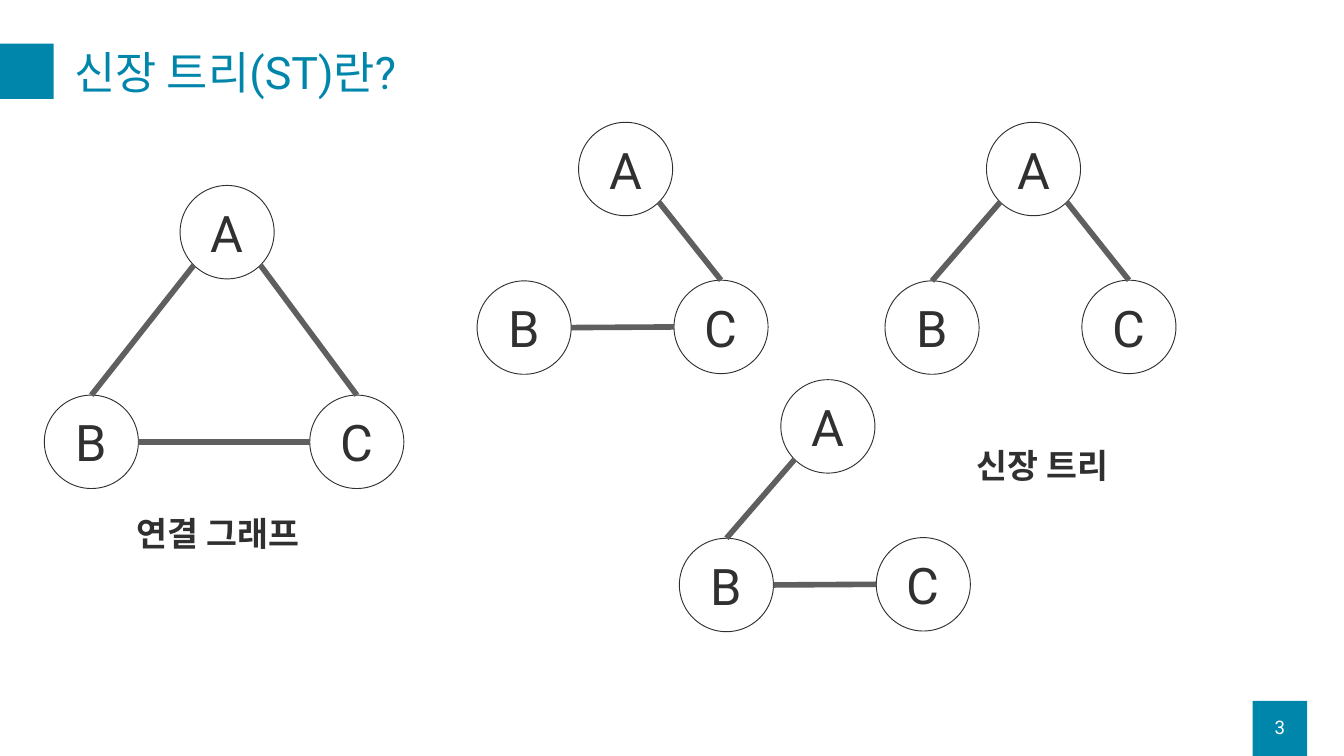
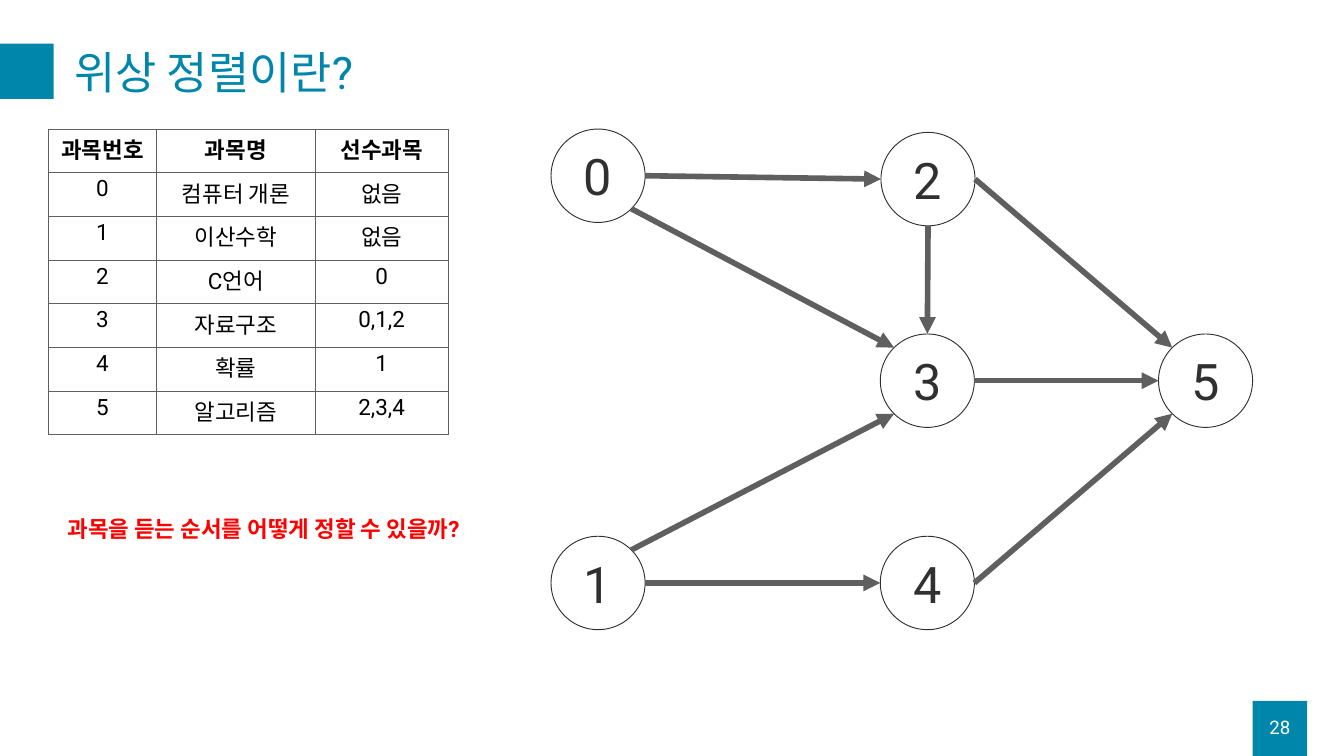
import math

import pptx
import pptx.dml.color
import pptx.enum.shapes
import pptx.enum.text
import pptx.oxml
import pptx.oxml.ns
import pptx.util
from lxml import etree

Inches, Pt = pptx.util.Inches, pptx.util.Pt
RGBColor = pptx.dml.color.RGBColor
SHAPE = pptx.enum.shapes.MSO_SHAPE
ALIGN = pptx.enum.text.PP_ALIGN
ANCHOR = pptx.enum.text.MSO_ANCHOR
AUTO_SIZE = pptx.enum.text.MSO_AUTO_SIZE
qn = pptx.oxml.ns.qn

# Shared look
TEAL = RGBColor(0x00, 0x86, 0xAB)
INK = RGBColor(0x30, 0x30, 0x30)
GRAY = RGBColor(0x5F, 0x5F, 0x5F)
RED = RGBColor(0xFF, 0x00, 0x00)
BLACK = RGBColor(0, 0, 0)
WHITE = RGBColor(0xFF, 0xFF, 0xFF)
FONT = "Roboto"
BANDS = [(18.64, 10.43, 0.81, 0.82), (-0.01, 0.65, 0.81, 0.82)]
NODE_W, NODE_H = 1.4, 1.39

# Connection sites of an ellipse, counterclockwise from the top
TOP, TOP_LEFT, LEFT, BOTTOM_LEFT, BOTTOM, BOTTOM_RIGHT, RIGHT, TOP_RIGHT = range(8)

# Slide 1: a connected graph and its spanning trees
ST_TITLE, ST_NUMBER = "신장 트리(ST)란?", "3"
ST_LABELS = [("연결 그래프", 1.94, 7.59), ("신장 트리", 14.44, 6.57)]
AB = ("A", BOTTOM_LEFT, "B", TOP)
AC = ("A", BOTTOM_RIGHT, "C", TOP)
CB = ("C", LEFT, "B", RIGHT)
# Places of the nodes relative to node A
TRIANGLE = {"A": (0, 0), "B": (-2.02, 3.12), "C": (1.93, 3.12)}
TREE = {"A": (0, 0), "B": (-1.51, 2.36), "C": (1.42, 2.35)}
ST_GRAPHS = [
    (2.68, 2.76, TRIANGLE, [AB, AC, CB]),
    (8.61, 1.82, TREE, [AC, CB]),
    (14.68, 1.82, TREE, [AC, AB]),
    (11.62, 5.65, TREE, [CB, AB]),
]

# Slide 2: courses and their order
SORT_TITLE, SORT_NUMBER = "위상 정렬이란?", "28"
QUESTION = "과목을 듣는 순서를 어떻게 정할 수 있을까?"
COURSES = [
    ("과목번호", "과목명", "선수과목"),
    ("0", "컴퓨터 개론", "없음"),
    ("1", "이산수학", "없음"),
    ("2", "C언어", "0"),
    ("3", "자료구조", "0,1,2"),
    ("4", "확률", "1"),
    ("5", "알고리즘", "2,3,4"),
]
COL_WIDTHS, ROW_HEIGHT = [1.61, 2.36, 1.98], 0.65
COURSE_NODES = {
    "0": (8.2, 1.92), "1": (8.2, 7.98), "2": (13.11, 1.97),
    "4": (13.1, 7.98), "3": (13.1, 4.97), "5": (17.24, 4.97),
}
COURSE_EDGES = [
    ("0", RIGHT, "2", LEFT),
    ("0", BOTTOM_RIGHT, "3", TOP_LEFT),
    ("1", RIGHT, "4", LEFT),
    ("1", TOP_RIGHT, "3", BOTTOM_LEFT),
    ("2", RIGHT, "5", TOP_LEFT),
    ("4", RIGHT, "5", BOTTOM_LEFT),
    ("3", RIGHT, "5", LEFT),
    ("2", BOTTOM, "3", TOP),
]


def set_text(tf, text, size, color, align=ALIGN.LEFT, bold=False):
    tf.text = text
    p = tf.paragraphs[0]
    p.alignment = align
    font = p.runs[0].font
    font.name, font.size, font.bold = FONT, Pt(size), bold
    font.color.rgb = color
    return p


def add_text(slide, text, box, size, color, **style):
    sp = slide.shapes.add_textbox(*map(Inches, box))
    tf = sp.text_frame
    tf.word_wrap = True
    set_text(tf, text, size, color, **style)
    return tf


def add_bands(slide, layout):
    """Draw the teal bands and hand them to the layout."""
    for box in BANDS:
        sp = slide.shapes.add_shape(SHAPE.RECTANGLE, *map(Inches, box))
        sp.shadow.inherit = False
        sp.fill.solid()
        sp.fill.fore_color.rgb = TEAL
        sp.line.fill.background()
        layout.shapes.element.append(sp.element)


def add_slide(prs, layout, title, number):
    slide = prs.slides.add_slide(layout)
    sp = slide.shapes.title
    sp.left, sp.top, sp.width, sp.height = map(Inches, (1.01, 0.52, 18.25, 1.18))
    tf = sp.text_frame
    tf.vertical_anchor = ANCHOR.MIDDLE
    tf.auto_size = AUTO_SIZE.NONE
    set_text(tf, title, 48, TEAL).line_spacing = 0.9
    tf = add_text(slide, number, (18.64, 10.52, 0.81, 0.6), 20, WHITE, align=ALIGN.CENTER)
    tf.vertical_anchor = ANCHOR.MIDDLE
    return slide


def add_node(slide, name, x, y):
    sp = slide.shapes.add_shape(
        SHAPE.OVAL, Inches(x), Inches(y), Inches(NODE_W), Inches(NODE_H))
    sp.shadow.inherit = False
    sp.fill.solid()
    sp.fill.fore_color.rgb = WHITE
    sp.line.color.rgb = INK
    sp.line.width = Pt(1)
    sp.text_frame.vertical_anchor = ANCHOR.MIDDLE
    set_text(sp.text_frame, name, 54, INK, align=ALIGN.CENTER)
    return sp


def site_point(sp, site):
    angle = math.radians(45 * site)
    return (round(sp.left + sp.width / 2 * (1 - math.sin(angle))),
            round(sp.top + sp.height / 2 * (1 - math.cos(angle))))


def add_edge(slide, start, start_site, end, end_site, arrow):
    line = slide.shapes.add_connector(
        pptx.enum.shapes.MSO_CONNECTOR.STRAIGHT,
        *site_point(start, start_site), *site_point(end, end_site))
    line.line.color.rgb = GRAY
    line.line.width = Pt(6)
    if arrow:
        etree.SubElement(line.line._get_or_add_ln(), qn("a:tailEnd"), type="triangle")
    etree.SubElement(line.element.spPr, qn("a:effectLst"))
    # Join both ends to the sites of the ellipses
    joins = line.element.find(".//" + qn("p:cNvCxnSpPr"))
    for tag, sp, site in (("a:stCxn", start, start_site), ("a:endCxn", end, end_site)):
        etree.SubElement(joins, qn(tag), id=str(sp.shape_id), idx=str(site))


def add_graph(slide, places, edges, arrow=False):
    nodes = {name: add_node(slide, name, x, y) for name, (x, y) in places.items()}
    for a, a_site, b, b_site in edges:
        add_edge(slide, nodes[a], a_site, nodes[b], b_site, arrow)


def set_borders(cell):
    tc_pr = cell._tc.get_or_add_tcPr()
    for i, side in enumerate(("a:lnL", "a:lnR", "a:lnT", "a:lnB")):
        ln = etree.Element(qn(side), w=str(Pt(1)))
        fill = etree.SubElement(ln, qn("a:solidFill"))
        etree.SubElement(fill, qn("a:srgbClr"), val=str(GRAY))
        tc_pr.insert(i, ln)


def add_course_table(slide):
    frame = slide.shapes.add_table(
        len(COURSES), len(COL_WIDTHS), Inches(0.72), Inches(1.92),
        Inches(sum(COL_WIDTHS)), Inches(ROW_HEIGHT * len(COURSES)))
    table = frame.table
    table.first_row = table.horz_banding = False
    for column, width in zip(table.columns, COL_WIDTHS):
        column.width = Inches(width)
    for r, course in enumerate(COURSES):
        table.rows[r].height = Inches(ROW_HEIGHT)
        for c, text in enumerate(course):
            cell = table.cell(r, c)
            cell.fill.solid()
            cell.fill.fore_color.rgb = WHITE
            set_text(cell.text_frame, text, 24, BLACK, align=ALIGN.CENTER, bold=r == 0)
            set_borders(cell)


def main():
    prs = pptx.Presentation()
    prs.slide_width, prs.slide_height = Inches(20), Inches(11.25)
    layout = prs.slide_layouts.get_by_name("Title Only")

    # Spanning trees
    slide = add_slide(prs, layout, ST_TITLE, ST_NUMBER)
    add_bands(slide, layout)
    for x, y, offsets, edges in ST_GRAPHS:
        places = {name: (x + dx, y + dy) for name, (dx, dy) in offsets.items()}
        add_graph(slide, places, edges)
    for text, x, y in ST_LABELS:
        tf = add_text(slide, text, (x, y, 4.07, 0.71), 36, INK, bold=True)
        tf.auto_size = AUTO_SIZE.SHAPE_TO_FIT_TEXT

    # Topological sort
    slide = add_slide(prs, layout, SORT_TITLE, SORT_NUMBER)
    add_course_table(slide)
    add_graph(slide, COURSE_NODES, COURSE_EDGES, arrow=True)
    tf = add_text(slide, QUESTION, (0.72, 7.61, 6.4, 0.5), 24, RED,
                  align=ALIGN.CENTER, bold=True)
    tf.auto_size = AUTO_SIZE.SHAPE_TO_FIT_TEXT

    prs.save("out.pptx")


if __name__ == "__main__":
    main()
